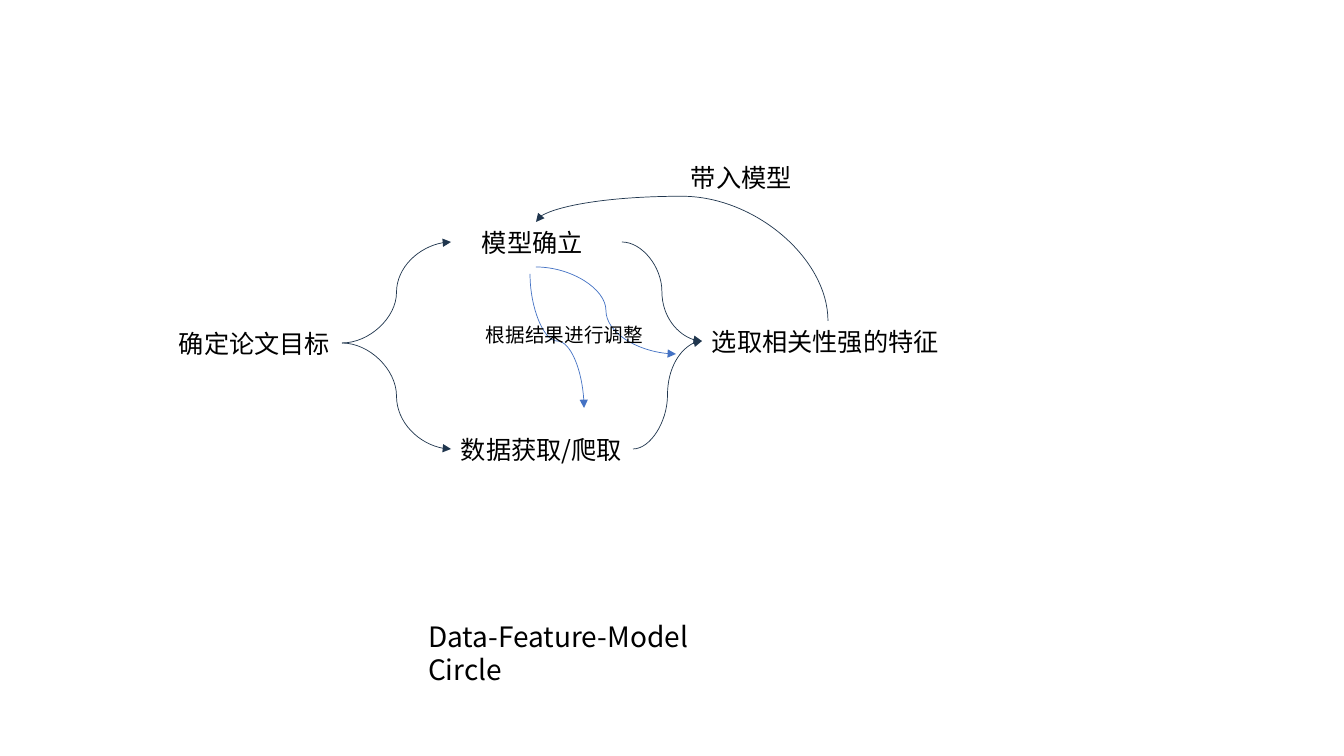
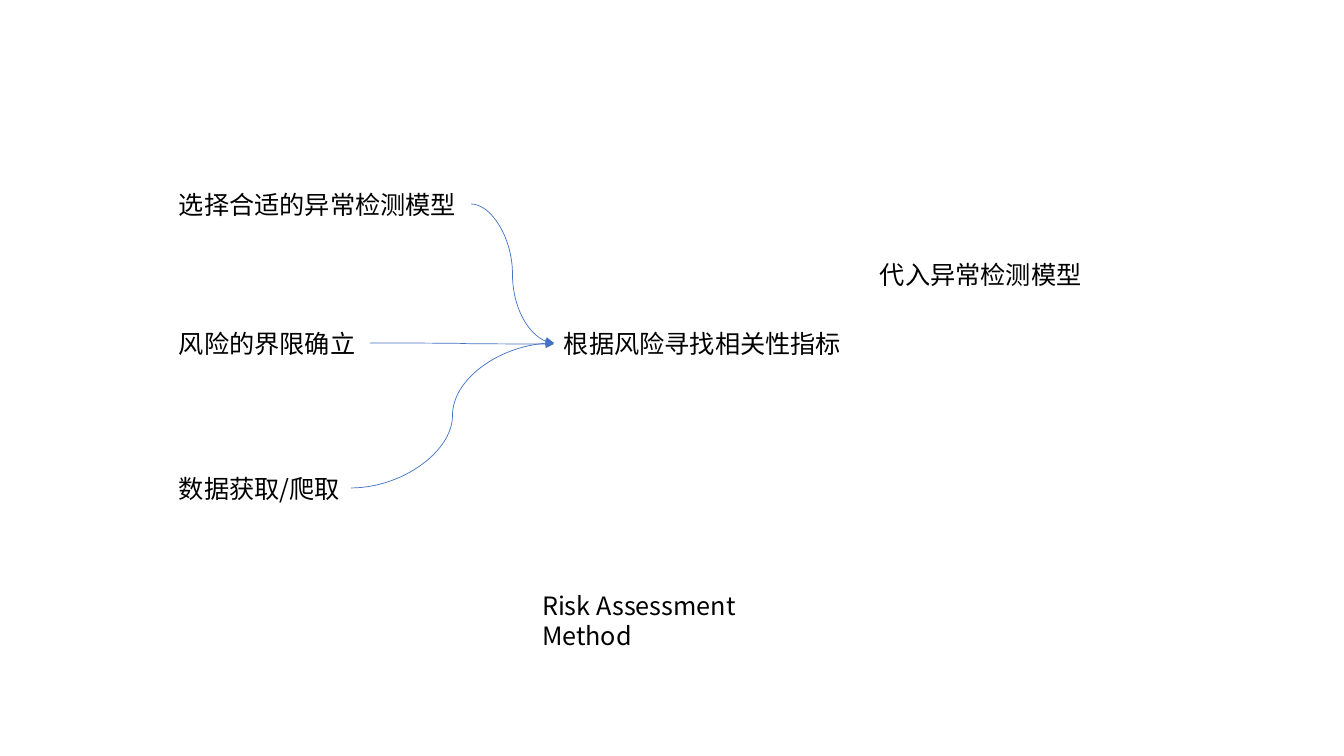
import typing

import lxml.etree
import pptx
import pptx.dml.color
import pptx.enum.shapes
import pptx.enum.text
import pptx.oxml.ns
import pptx.util

PX = 914400 / 100.8
FONT = "Noto Sans CJK SC"
BLACK, NAVY, BLUE = "000000", "20364E", "4472C4"
LABEL_HEIGHT = 41


class Box(typing.NamedTuple):
    """A rectangle in px with the side points that arrows use."""
    left: int
    top: int
    width: int
    height: int = LABEL_HEIGHT

    def side(self, name):
        """Return the middle of the named side."""
        middle_x, middle_y = self.left + self.width // 2, self.top + self.height // 2
        return {"left": (self.left, middle_y), "right": (self.left + self.width, middle_y),
                "top": (middle_x, self.top)}[name]

    def inner(self, left, top, width):
        """Return a label box placed relative to this box."""
        return Box(self.left + left, self.top + top, width)

    def point(self, left, top):
        """Return a point placed relative to this box."""
        return self.left + left, self.top + top


def emu(*lengths):
    """Turn px lengths into EMU."""
    return [pptx.util.Emu(round(length * PX)) for length in lengths]


def color(hex_string):
    """Turn a hex string into a colour."""
    return pptx.dml.color.RGBColor.from_string(hex_string)


def add_xml(parent, tag, **attributes):
    """Append one XML child element."""
    return lxml.etree.SubElement(parent, pptx.oxml.ns.qn(tag), **attributes)


def write(shape, text, size, indent=0):
    """Fill a shape with one left-aligned line of text."""
    frame = shape.text_frame
    frame.word_wrap = True
    frame.auto_size = pptx.enum.text.MSO_AUTO_SIZE.SHAPE_TO_FIT_TEXT
    frame.vertical_anchor = pptx.enum.text.MSO_ANCHOR.TOP
    paragraph = frame.paragraphs[0]
    paragraph.text = text
    paragraph.alignment = pptx.enum.text.PP_ALIGN.LEFT
    properties = paragraph._p.get_or_add_pPr()
    if indent:
        properties.set("marL", str(emu(indent)[0]))
    paragraph.font.size = pptx.util.Pt(size)
    paragraph.font.color.rgb = color(BLACK)
    paragraph.font.name = FONT
    add_xml(properties.get_or_add_defRPr(), "a:ea", typeface=FONT)


def add_label(slide, box, text, size=18, indent=0):
    """Add a text label and return its box."""
    write(slide.shapes.add_textbox(*emu(*box)), text, size, indent)
    return box


def add_curve(slide, start, end, line_color, vertical=False, bend=None):
    """Add a curved arrow that leaves sideways, or up and down if vertical."""
    (x1, y1), (x2, y2) = start, end
    if vertical:
        center_x, center_y = (x1 + x2) / 2, (y1 + y2) / 2
        offset_x, offset_y = x1 - center_x, y1 - center_y
        x1, y1 = center_x - offset_y, center_y + offset_x
        x2, y2 = center_x + offset_y, center_y - offset_x
    connector = slide.shapes.add_connector(
        pptx.enum.shapes.MSO_CONNECTOR.CURVE, *emu(x1, y1, x2, y2))
    connector.line.width = pptx.util.Pt(0.5)
    connector.line.color.rgb = color(line_color)
    properties = connector._element.spPr
    if vertical:
        properties.find(pptx.oxml.ns.qn("a:xfrm")).set("rot", "16200000")
    if bend:
        adjustments = properties.find(".//" + pptx.oxml.ns.qn("a:avLst"))
        add_xml(adjustments, "a:gd", name="adj1", fmla=f"val {round(bend * 100000)}")
    add_xml(connector.line._get_or_add_ln(), "a:tailEnd", type="triangle")
    add_xml(properties, "a:effectLst")


def add_slide(presentation, title, box, size):
    """Add a slide whose title stands below its diagram."""
    slide = presentation.slides.add_slide(presentation.slide_layouts[5])
    shape = slide.shapes.title
    shape.left, shape.top, shape.width, shape.height = emu(*box)
    write(shape, title, size)
    return slide


def draw_model_cycle(slide, area):
    """Draw the cycle of data, features and model."""
    goal = add_label(slide, area.inner(0, 166, 173), "确定论文目标")
    model = add_label(slide, area.inner(282, 65, 171), "模型确立", indent=21)
    data = add_label(slide, area.inner(282, 272, 182), "数据获取/爬取")
    features = add_label(slide, area.inner(533, 164, 252), "选取相关性强的特征")
    add_label(slide, area.inner(512, 0, 123), "带入模型")

    for step in (model, data):
        add_curve(slide, goal.side("right"), step.side("left"), NAVY)
        add_curve(slide, step.side("right"), features.side("left"), NAVY)
    add_curve(slide, features.side("top"), model.side("top"), NAVY, vertical=True, bend=1.26)
    add_curve(slide, area.point(361, 117), area.point(415, 251), BLUE, vertical=True)
    add_curve(slide, area.point(367, 110), area.point(507, 197), BLUE)
    add_label(slide, area.inner(307, 161, 179), "根据结果进行调整", size=14)


def draw_risk_method(slide, area):
    """Draw the three inputs that lead to the risk indicators."""
    indicators = add_label(slide, area.inner(385, 139, 300), "根据风险寻找相关性指标")
    add_label(slide, area.inner(701, 70, 224), "代入异常检测模型")
    inputs = [("选择合适的异常检测模型", 0, 302, 0),
              ("风险的界限确立", 139, 201, 1),
              ("数据获取/爬取", 284, 182, 0)]
    for text, top, width, drop in inputs:
        source = add_label(slide, area.inner(0, top, width), text)
        x, y = indicators.side("left")
        add_curve(slide, source.side("right"), (x, y + drop), BLUE)


def main():
    """Build and save the presentation."""
    presentation = pptx.Presentation()
    presentation.slide_width, presentation.slide_height = emu(1344, 756)
    slide = add_slide(presentation, "Data-Feature-Model Circle", Box(418, 614, 349, 44), 20)
    draw_model_cycle(slide, Box(169, 157, 785, 313))
    slide = add_slide(presentation, "Risk Assessment Method", Box(532, 585, 291), 18)
    draw_risk_method(slide, Box(169, 184, 925, 325))
    presentation.save("out.pptx")


if __name__ == "__main__":
    main()
